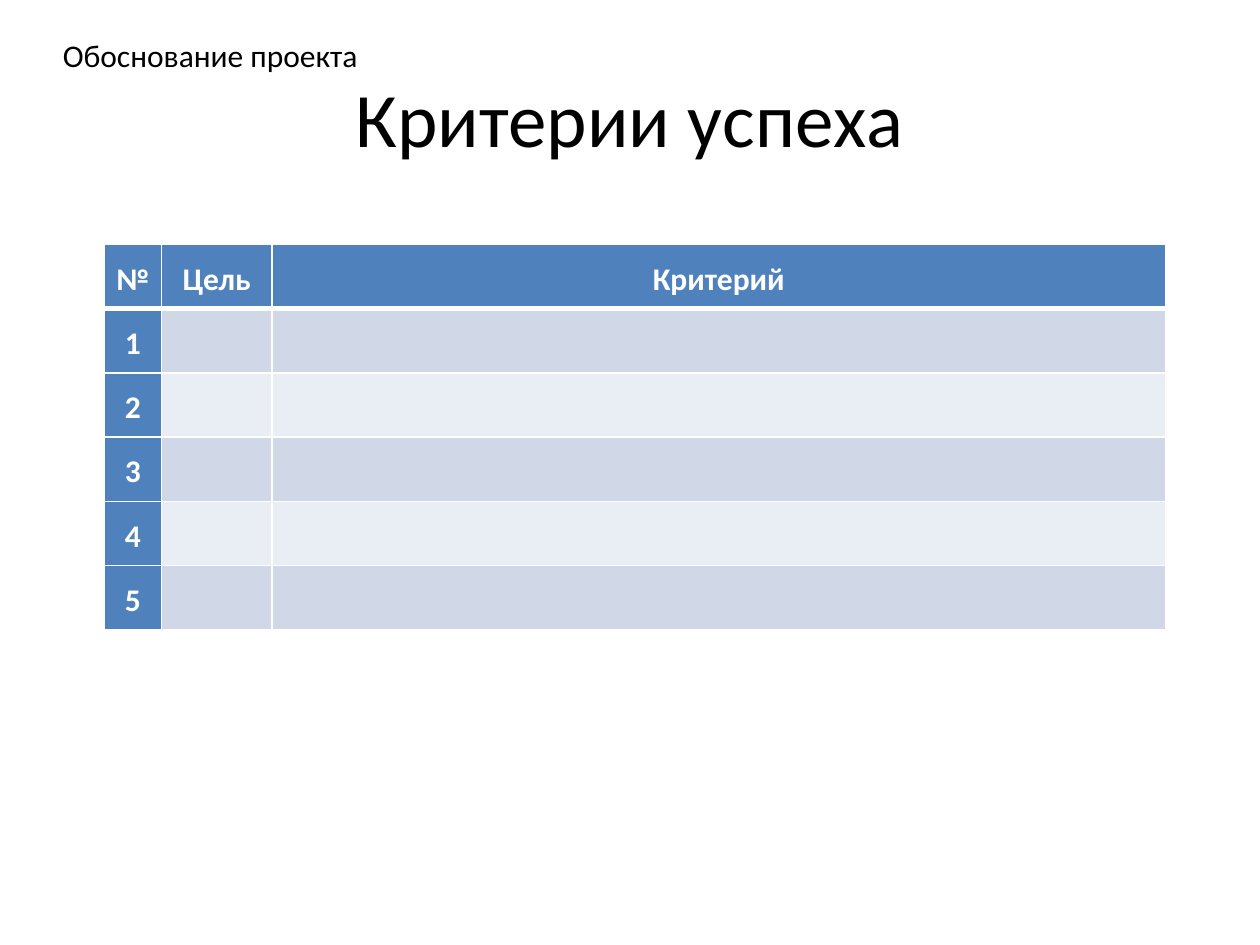
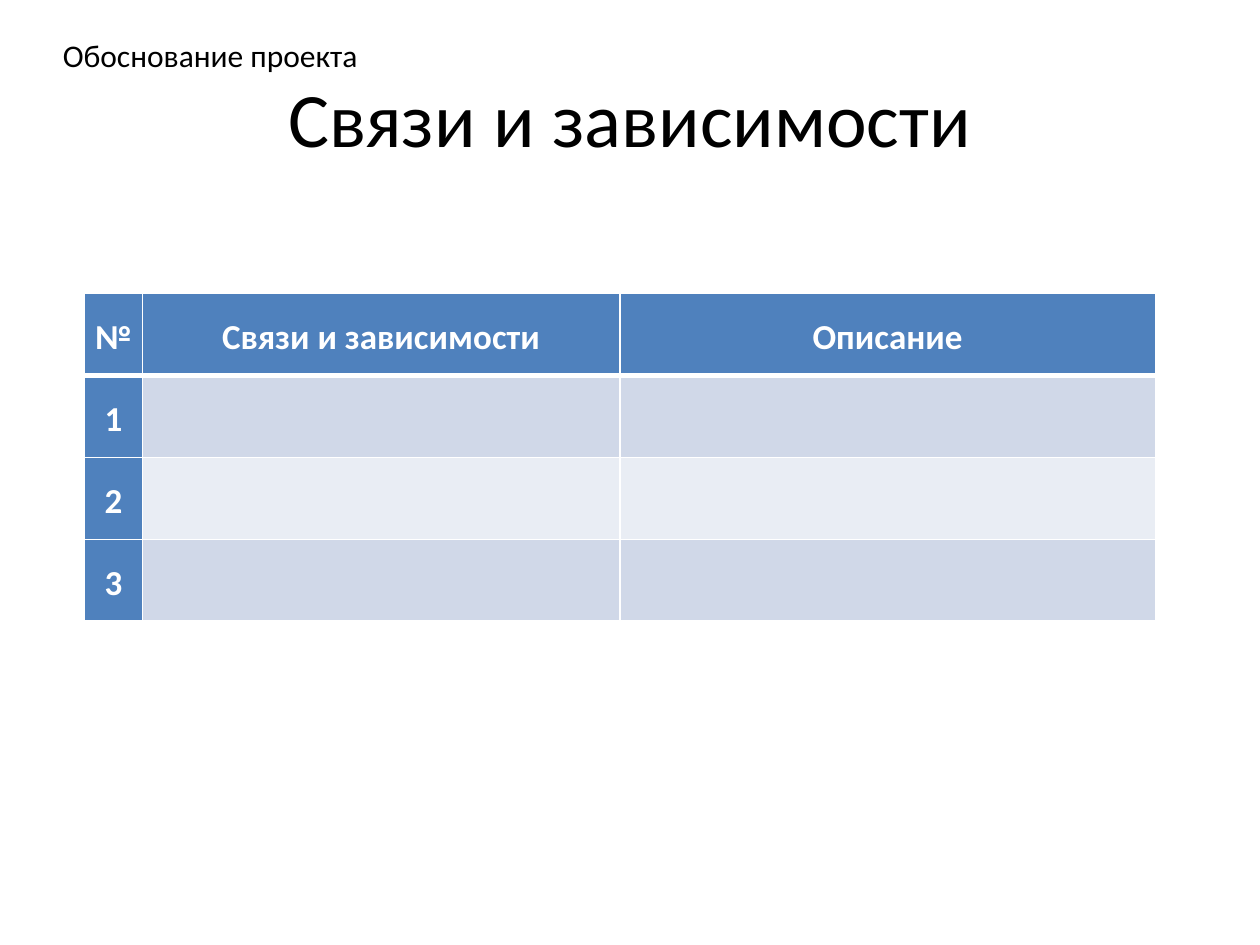
from dataclasses import dataclass

from lxml.etree import SubElement
from pptx import Presentation
from pptx.dml.color import RGBColor
from pptx.enum.text import MSO_ANCHOR, MSO_AUTO_SIZE, PP_ALIGN
from pptx.oxml.ns import qn
from pptx.util import Inches, Pt

# Content: table places and sizes are in inches
SECTION = "Обоснование проекта"
SLIDES = [
    {
        "title": "Критерии успеха",
        "headings": ["№", "Цель", "Критерий"],
        "row_count": 5,
        "corner": (0.83, 1.94),
        "column_widths": (0.45, 0.88, 7.09),
        "row_height": 0.51,
        "text_size": 18,
    },
    {
        "title": "Связи и зависимости",
        "headings": ["№", "Связи и зависимости", "Описание"],
        "row_count": 3,
        "corner": (0.67, 2.33),
        "column_widths": (0.46, 3.79, 4.25),
        "row_height": 0.65,
        "text_size": 20,
    },
]


@dataclass(frozen=True)
class Theme:
    font: str = "Calibri"
    ink: str = "000000"
    paper: str = "FFFFFF"
    accent: str = "4F81BD"
    bands: tuple = ("D0D8E8", "E9EDF4")
    title_size: int = 44
    section_size: int = 18
    line_spacing: float = 1.15
    cell_inset: float = 0.07
    thin_rule: int = 1
    thick_rule: int = 3


THEME = Theme()
SLIDE_WIDTH, SLIDE_HEIGHT = Inches(10), Inches(7.5)
TITLE_BOX = (0.05, 0.04, 0.9, 1 / 6)  # shares of the slide's size
SECTION_BOX = (0.04, 0.032, 0.257, 0.053)


def style_text(frame, size, color, align, bold=False):
    for paragraph in frame.paragraphs:
        paragraph.alignment = align
        for run in paragraph.runs:
            run.font.name = THEME.font
            run.font.size = Pt(size)
            run.font.bold = bold
            run.font.color.rgb = RGBColor.from_string(color)


def add_label(slide, text, shares, size, align, anchor, wrap):
    left, top, width, height = shares
    label = slide.shapes.add_textbox(
        int(left * SLIDE_WIDTH), int(top * SLIDE_HEIGHT),
        int(width * SLIDE_WIDTH), int(height * SLIDE_HEIGHT))
    frame = label.text_frame
    frame.text = text
    frame.word_wrap = wrap
    frame.vertical_anchor = anchor
    frame.auto_size = MSO_AUTO_SIZE.NONE if wrap else MSO_AUTO_SIZE.SHAPE_TO_FIT_TEXT
    style_text(frame, size, THEME.ink, align)


def set_borders(cell, top, bottom):
    """Rules must precede the fill inside the cell properties."""
    properties = cell._tc.get_or_add_tcPr()
    thin = THEME.thin_rule
    for side, width in (("L", thin), ("R", thin), ("T", top), ("B", bottom)):
        rule = SubElement(properties, qn(f"a:ln{side}"), w=str(Pt(width)))
        fill = SubElement(rule, qn("a:solidFill"))
        SubElement(fill, qn("a:srgbClr"), val=THEME.paper)


def add_numbered_table(slide, headings, row_count, corner, column_widths, row_height, text_size):
    rows = [headings] + [[str(number), "", ""] for number in range(1, row_count + 1)]
    left, top = corner
    table = slide.shapes.add_table(
        len(rows), len(headings), Inches(left), Inches(top),
        Inches(sum(column_widths)), Inches(row_height * len(rows))).table
    table.first_col = True
    for column, width in zip(table.columns, column_widths):
        column.width = Inches(width)

    for r, texts in enumerate(rows):
        table.rows[r].height = Inches(row_height)
        for c, text in enumerate(texts):
            cell = table.cell(r, c)
            set_borders(cell,
                        top=THEME.thick_rule if r == 1 else THEME.thin_rule,
                        bottom=THEME.thick_rule if r == 0 else THEME.thin_rule)
            is_heading = r == 0 or c == 0
            color = THEME.accent if is_heading else THEME.bands[(r - 1) % 2]
            cell.fill.solid()
            cell.fill.fore_color.rgb = RGBColor.from_string(color)
            if is_heading:
                cell.text_frame.text = text
                cell.vertical_anchor = MSO_ANCHOR.MIDDLE
                cell.margin_left = cell.margin_right = Inches(THEME.cell_inset)
                cell.margin_top = cell.margin_bottom = 0
                cell.text_frame.paragraphs[0].line_spacing = THEME.line_spacing
                style_text(cell.text_frame, text_size, THEME.paper, PP_ALIGN.CENTER, bold=True)


def main():
    deck = Presentation()
    deck.slide_width, deck.slide_height = SLIDE_WIDTH, SLIDE_HEIGHT
    for content in SLIDES:
        slide = deck.slides.add_slide(deck.slide_layouts[6])
        # Title, table, then the section label in the corner
        add_label(slide, content["title"], TITLE_BOX, THEME.title_size,
                  PP_ALIGN.CENTER, MSO_ANCHOR.MIDDLE, wrap=True)
        add_numbered_table(slide, **{key: value for key, value in content.items() if key != "title"})
        add_label(slide, SECTION, SECTION_BOX, THEME.section_size,
                  PP_ALIGN.LEFT, MSO_ANCHOR.TOP, wrap=False)
    deck.save("out.pptx")


if __name__ == "__main__":
    main()
